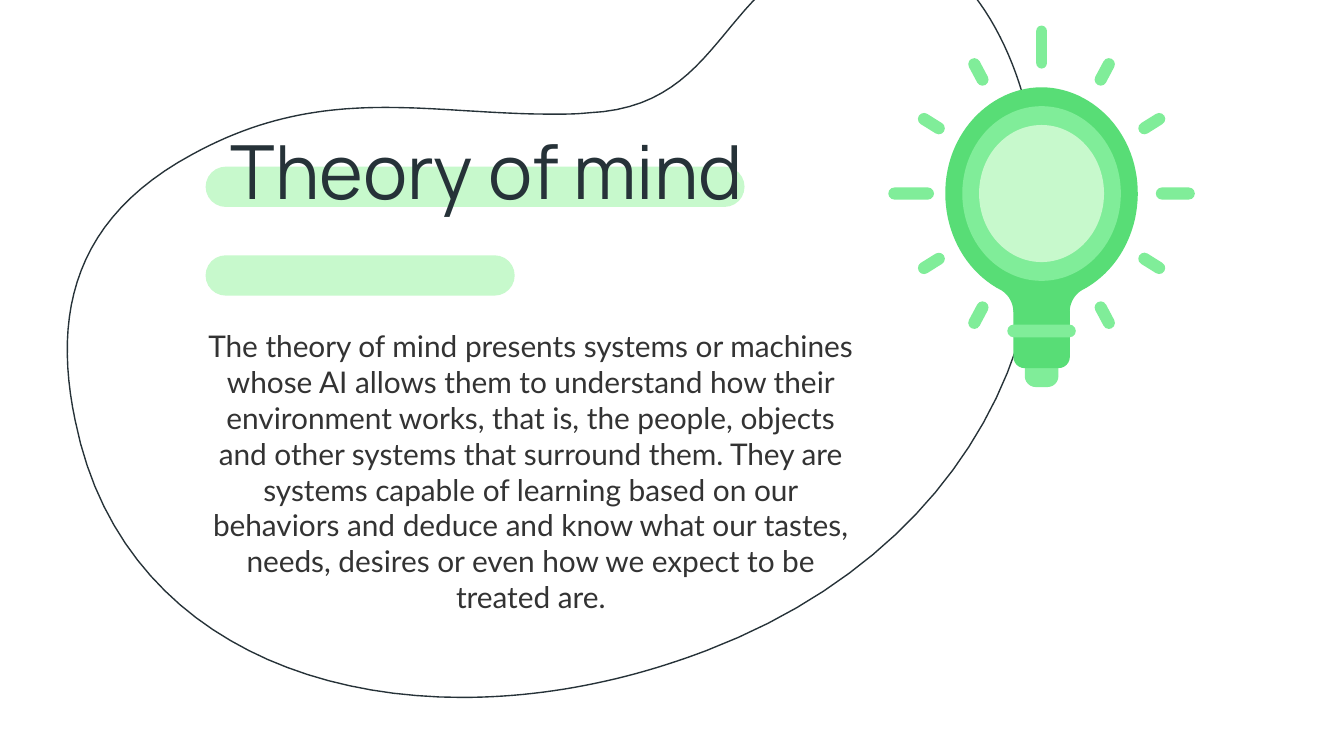
from dataclasses import dataclass
from itertools import product
from pptx import Presentation
from pptx.dml.color import RGBColor
from pptx.enum.shapes import MSO_SHAPE
from pptx.enum.text import MSO_ANCHOR, PP_ALIGN
from pptx.util import Inches, Pt


@dataclass(frozen=True)
class Theme:
    ink: str = "263238"
    body: str = "333333"
    deep: str = "58DD76"
    mid: str = "80ED99"
    pale: str = "C7F9CC"
    head: str = "Manrope"
    text: str = "Lato"
    large: int = 40
    small: int = 16
    line: float = 0.75


CELL = Inches(0.1)
COLS, ROWS = 100, 56.25
BLOB = [
    (65.1, -4.4), (63.6, -4.4), (61.9, -4), (60.1, -3.1),
    (53.4, 0.4), (52.9, 8), (43.8, 8.4),
    (42.9, 8.5), (42, 8.5), (41.1, 8.5),
    (36.7, 8.5), (32.7, 8), (28.7, 8),
    (24, 8), (19.4, 8.7), (14.3, 11.5),
    (5.6, 16.2), (3.9, 23.2), (5.6, 31.3),
    (8.4, 45.3), (20.5, 51.9), (34.4, 51.9),
    (40.4, 51.9), (46.6, 50.7), (52.6, 48.4),
    (71.7, 41.1), (80.5, 24.2), (76.2, 7.4),
    (74.8, 2.3), (71.2, -4.4), (65.1, -4.4),
]
BULB = [
    (0, -7.9), (3.3, -7.9), (6.3, -5.3), (7, -1.7),
    (7.7, 1.9), (6.1, 5.6), (3, 7.2),
    (2.5, 7.5), (2.1, 8.1), (2.1, 8.8),
]


def units(*cells):
    return [round(c * CELL) for c in cells]


def curve(knots, steps=24):
    dots = [knots[0]]
    for i in range(0, len(knots) - 1, 3):
        for n in range(1, steps + 1):
            t = n / steps
            parts = ((1 - t) ** 3, 3 * t * (1 - t) ** 2, 3 * t * t * (1 - t), t ** 3)
            dots.append(tuple(
                sum(p * k[axis] for p, k in zip(parts, knots[i:i + 4]))
                for axis in (0, 1)
            ))
    return dots


def write(frame, text, *, font, size, color, align=PP_ALIGN.LEFT, after=0):
    para = frame.paragraphs[0]
    para.alignment = align
    para.space_after = Pt(after)
    run = para.add_run()
    run.text = text
    run.font.name = font
    run.font.size = Pt(size)
    run.font.color.rgb = RGBColor.from_string(color)


class Board:
    def __init__(self, slide, theme):
        self.slide = slide
        self.theme = theme

    def paint(self, shape, fill=None, line=None):
        shape.shadow.inherit = False
        if fill:
            shape.fill.solid()
            shape.fill.fore_color.rgb = RGBColor.from_string(fill)
        else:
            shape.fill.background()
        if line:
            shape.line.color.rgb = RGBColor.from_string(line)
            shape.line.width = Pt(self.theme.line)
        else:
            shape.line.fill.background()

    def form(self, kind, box, fill, adjust=(), turn=0):
        shape = self.slide.shapes.add_shape(kind, *units(*box))
        for i, value in enumerate(adjust):
            shape.adjustments[i] = value
        shape.rotation = turn
        self.paint(shape, fill)

    def pill(self, box, fill, turn=0):
        self.form(MSO_SHAPE.ROUNDED_RECTANGLE, box, fill, (0.5,), turn)

    def disc(self, mid, wide, high, fill):
        x, y = mid
        self.form(MSO_SHAPE.OVAL, (x - wide / 2, y - high / 2, wide, high), fill)

    def trace(self, dots, **look):
        first, *rest = [units(*dot) for dot in dots]
        maker = self.slide.shapes.build_freeform(*first)
        maker.add_line_segments(rest, close=True)
        self.paint(maker.convert_to_shape(), **look)

    def label(self, box, text, top=1, **style):
        frame = self.slide.shapes.add_textbox(*units(*box)).text_frame
        frame.word_wrap = True
        frame.vertical_anchor = MSO_ANCHOR.TOP
        frame.margin_left = frame.margin_right = frame.margin_bottom = CELL
        frame.margin_top = round(top * CELL)
        write(frame, text, **style)

    def lamp(self, x, y):
        look = self.theme
        half = curve(BULB)
        sides = half + [(-a, b) for a, b in reversed(half)]
        self.trace([(x + a, y + b) for a, b in sides], fill=look.deep)
        self.disc((x, y), 11.8, 13, look.mid)
        self.disc((x, y), 9.3, 10.2, look.pale)
        cup = MSO_SHAPE.ROUND_2_SAME_RECTANGLE
        self.form(cup, (x - 1.25, y + 12.6, 2.5, 1.8), look.mid, (0, 0.45))
        self.form(cup, (x - 2.1, y + 8.7, 4.2, 4.3), look.deep, (0, 0.2))
        self.pill((x - 2.55, y + 9.75, 5.1, 0.95), look.mid)
        self.pill((x - 0.4, y - 12.5, 0.8, 3.2), look.mid)
        self.pill((x - 11.4, y - 0.45, 3.4, 0.9), look.mid)
        self.pill((x + 8.5, y - 0.45, 2.9, 0.9), look.mid)
        for h, v in product((-1, 1), repeat=2):
            for across, down, turn in ((4.7, 9.05, 62), (8.2, 5.2, 32)):
                box = (x + h * across - 1.1, y + v * down - 0.45, 2.2, 0.9)
                self.pill(box, look.mid, h * v * turn)


def main():
    deck = Presentation()
    deck.slide_width, deck.slide_height = units(COLS, ROWS)
    look = Theme()
    board = Board(deck.slides.add_slide(deck.slide_layouts[6]), look)
    board.trace(curve(BLOB), line=look.ink)
    for top, wide in ((19, 23), (12.4, 40.1)):
        board.pill((15.3, top, wide, 3), look.pale)
    board.label((16.2, 8.7, 42.3, 5.2), "Theory of mind", top=0.6,
                font=look.head, size=look.large, color=look.ink)
    board.label(
        (14, 23.4, 51, 24.1),
        "The theory of mind presents systems or machines whose AI allows them "
        "to understand how their environment works, that is, the people, objects "
        "and other systems that surround them. They are systems capable of "
        "learning based on our behaviors and deduce and know what our tastes, "
        "needs, desires or even how we expect to be treated are.",
        font=look.text, size=look.small, color=look.body,
        align=PP_ALIGN.CENTER, after=16)
    board.lamp(77.5, 14.4)
    deck.save("out.pptx")


if __name__ == "__main__":
    main()
